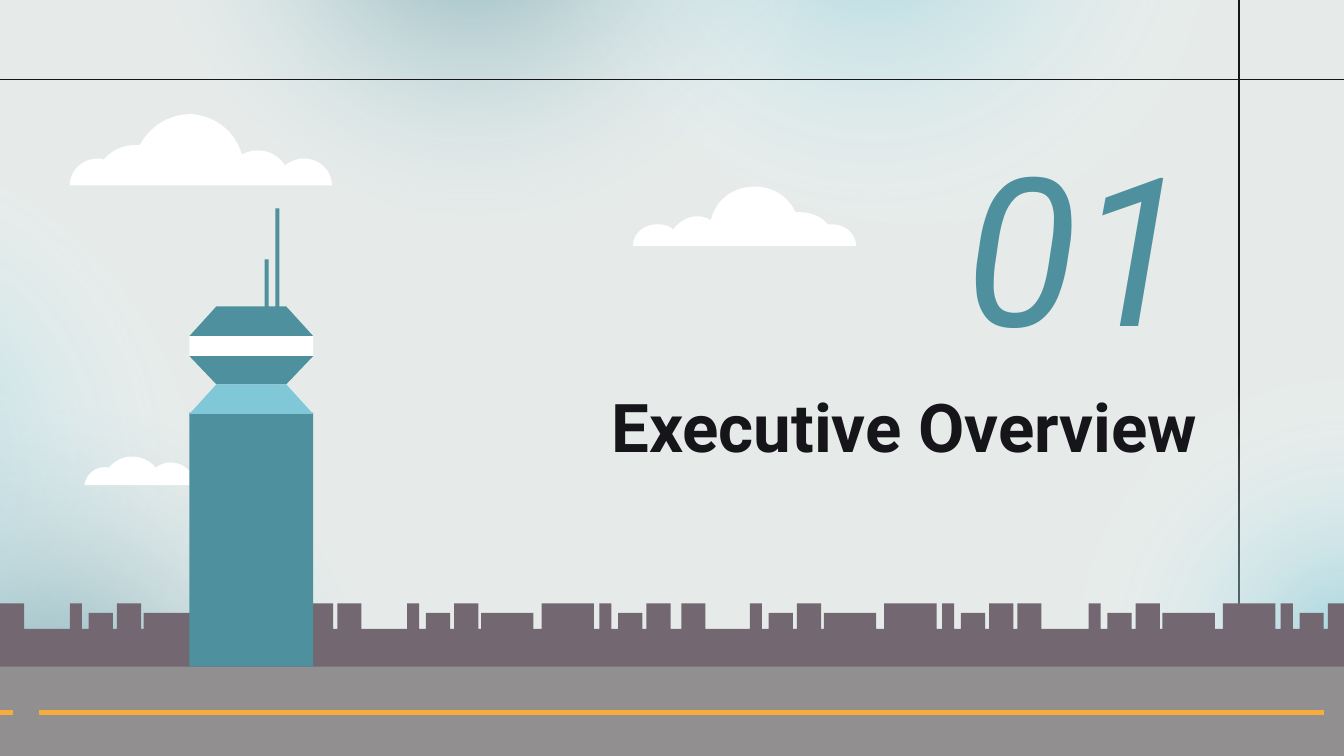
"""Build the section slide with a control tower, clouds and a city skyline."""
import pptx
import pptx.util
import pptx.dml.color
import pptx.enum.shapes
import pptx.enum.text
import pptx.oxml
import pptx.oxml.ns
from pptx.util import Inches

COLORS = {"sky": "E6EBE9", "ink": "161519", "teal": "4E909E", "aqua": "80C8D8",
          "white": "FFFFFF", "city": "736871", "road": "918F8F", "lane": "F7AC3B"}

TEXTS = [
    ("01", (6.5, 1.23, 2.46, 1.17), 111, "teal", False, True, "MIDDLE"),
    ("Executive Overview", (4.04, 2.77, 4.97, 1.17), 36, "ink", True, False, "TOP"),
]

GLOW_SIZE = (5.22, 4.6)
GLOWS = [
    (3.88, -3.08, 42, "aqua", 68), (0.9, -3.06, 42, "teal", 68),
    (6.11, 4.36, 356.7, "teal", 81), (7.42, 2.54, 356.7, "aqua", 68),
    (-3.65, 1.14, 33.5, "aqua", 68), (-2.18, 3.04, 33.5, "teal", 68),
]

HIGH, LOW, BASE, GROUND = 4.49, 4.56, 4.68, 4.97
CITY_END = 10.06
BLOCKS = [(0, 0.09, HIGH), (0.14, 0.32, LOW), (0.35, 0.53, HIGH), (0.55, 0.94, LOW),
          (1, 1.39, HIGH), (1.43, 1.52, HIGH), (1.57, 1.75, LOW), (1.78, 1.96, HIGH)]
LAST_WIDTH = 0.18
BLOCK_STARTS = [(0.52, 1.99), (3.03, 2.04), (5.58, 1.99), (8.1, 1.99)]

CLOUDS = [
    [(2.26, 1.18), (2.21, 1.18, 2.16, 1.2, 2.12, 1.23), (2.05, 1.12, 1.91, 1.09, 1.8, 1.15),
     (1.75, 0.98, 1.61, 0.87, 1.44, 0.85), (1.28, 0.84, 1.12, 0.93, 1.04, 1.08),
     (1.03, 1.08, 1.01, 1.08, 1, 1.08), (0.91, 1.08, 0.83, 1.12, 0.77, 1.19),
     (0.76, 1.18, 0.74, 1.18, 0.73, 1.18), (0.61, 1.18, 0.52, 1.27, 0.52, 1.38),
     (2.47, 1.38), (2.47, 1.27, 2.38, 1.18, 2.26, 1.18)],
    [(4.89, 1.67), (4.94, 1.67, 4.98, 1.68, 5.01, 1.71), (5.05, 1.65, 5.12, 1.61, 5.19, 1.61),
     (5.22, 1.61, 5.26, 1.62, 5.29, 1.64), (5.32, 1.5, 5.44, 1.4, 5.59, 1.39),
     (5.73, 1.38, 5.86, 1.45, 5.92, 1.58), (5.94, 1.58, 5.95, 1.58, 5.96, 1.58),
     (6.03, 1.58, 6.11, 1.61, 6.16, 1.67), (6.17, 1.67, 6.18, 1.67, 6.19, 1.67),
     (6.29, 1.67, 6.37, 1.74, 6.37, 1.83), (4.71, 1.83),
     (4.71, 1.74, 4.79, 1.67, 4.89, 1.67)],
    [(1.59, 3.61), (0.63, 3.61), (0.64, 3.52, 0.73, 3.46, 0.81, 3.48),
     (0.9, 3.37, 1.07, 3.37, 1.16, 3.48), (1.25, 3.41, 1.37, 3.44, 1.43, 3.53),
     (1.5, 3.5, 1.57, 3.54, 1.59, 3.61)],
]

WIDE, SLIM = (1.41, 2.33), (1.61, 2.13)
TOWER = [
    (WIDE, 2.5, WIDE, 2.65, "white"), (WIDE, 3.07, WIDE, 4.96, "teal"),
    (WIDE, 2.65, SLIM, 2.86, "teal"), (SLIM, 2.28, WIDE, 2.5, "teal"),
    (SLIM, 2.86, WIDE, 3.08, "aqua"),
    ((2.05, 2.08), 1.55, (2.05, 2.08), 2.38, "teal"),
    ((1.97, 2), 1.93, (1.97, 2), 2.38, "teal"),
]

deck = pptx.Presentation()
deck.slide_width, deck.slide_height = Inches(10), Inches(10 * 9 / 16)
slide = deck.slides.add_slide(deck.slide_layouts[6])
shapes = slide.shapes
KINDS = pptx.enum.shapes.MSO_SHAPE


def color(name):
    return pptx.dml.color.RGBColor.from_string(COLORS[name])


def paint(shape, name):
    shape.shadow.inherit = False
    shape.fill.solid()
    shape.fill.fore_color.rgb = color(name)
    shape.line.fill.background()


def box(left, top, width, height, name, kind=KINDS.RECTANGLE):
    shape = shapes.add_shape(kind, *map(Inches, (left, top, width, height)))
    paint(shape, name)
    return shape


def outline(points, name):
    dots = [(Inches(x), Inches(y)) for x, y in points]
    pen = shapes.build_freeform(*dots[0])
    pen.add_line_segments(dots[1:], close=True)
    paint(pen.convert_to_shape(), name)


def rule(x1, y1, x2, y2, name, width):
    line = shapes.add_connector(pptx.enum.shapes.MSO_CONNECTOR.STRAIGHT,
                                *map(Inches, (x1, y1, x2, y2)))
    line.line.color.rgb = color(name)
    line.line.width = pptx.util.Pt(width)
    line._element.spPr.append(pptx.oxml.parse_xml(
        f'<a:effectLst {pptx.oxml.ns.nsdecls("a")}/>'))


def glow(left, top, turn, name, alpha):
    shape = box(left, top, *GLOW_SIZE, name, KINDS.OVAL)
    shape.rotation = turn
    stops = "".join(
        f'<a:gs pos="{pos * 1000}"><a:srgbClr val="{COLORS[tint]}">'
        f'<a:alpha val="{level * 1000}"/></a:srgbClr></a:gs>'
        for pos, tint, level in [(0, name, alpha), (58, "white", 0), (100, "white", 0)])
    props = shape._element.spPr
    solid = props.find(pptx.oxml.ns.qn("a:solidFill"))
    props.replace(solid, pptx.oxml.parse_xml(
        f'<a:gradFill {pptx.oxml.ns.nsdecls("a")} rotWithShape="1"><a:gsLst>{stops}</a:gsLst>'
        '<a:path path="circle"><a:fillToRect l="50000" t="50000" r="50000" b="50000"/>'
        '</a:path></a:gradFill>'))


def curve(parts, steps=12):
    points = [parts[0]]
    for part in parts[1:]:
        if len(part) == 2:
            points.append(part)
            continue
        knots = [points[-1], part[:2], part[2:4], part[4:]]
        for step in range(1, steps + 1):
            t = step / steps
            shares = [(1 - t) ** 3, 3 * t * (1 - t) ** 2, 3 * t * t * (1 - t), t ** 3]
            points.append(tuple(sum(s * k[axis] for s, k in zip(shares, knots))
                                for axis in (0, 1)))
    return points


def skyline():
    blocks = [(0, LAST_WIDTH, HIGH)]
    for start, last in BLOCK_STARTS:
        blocks += [(start + a, start + b, top)
                   for a, b, top in BLOCKS + [(last, last + LAST_WIDTH, HIGH)]]
    points = [(0, GROUND)]
    for left, right, top in blocks:
        if left < 10:
            right = min(right, CITY_END)
            points += [(left, BASE), (left, top), (right, top), (right, BASE)]
    return points + [(CITY_END, GROUND)]


def label(text, place, size, name, bold, slant, anchor):
    frame = shapes.add_textbox(*map(Inches, place)).text_frame
    frame.word_wrap = True
    frame.vertical_anchor = pptx.enum.text.MSO_ANCHOR[anchor]
    frame.margin_left = frame.margin_right = Inches(0.1)
    frame.margin_top = frame.margin_bottom = Inches(0.1)
    para = frame.paragraphs[0]
    para.text = text
    para.alignment = pptx.enum.text.PP_ALIGN.RIGHT
    font = para.font
    font.name, font.size = "Roboto", pptx.util.Pt(size)
    font.bold, font.italic = bold, slant
    font.color.rgb = color(name)


slide.background.fill.solid()
slide.background.fill.fore_color.rgb = color("sky")
rule(9.22, 6.25, 9.22, -0.32, "ink", 0.75)
for item in GLOWS:
    glow(*item)
rule(10.06, 0.59, -0.06, 0.59, "ink", 0.75)
outline(skyline(), "city")
box(0, 4.96, CITY_END, 0.7, "road")
for start, end in [(0, 0.1), (0.29, 9.85)]:
    rule(start, 5.3, end, 5.3, "lane", 2.56)
for cloud in CLOUDS:
    outline(curve(cloud), "white")
for (a, b), top, (c, d), base, name in TOWER:
    if (a, b) == (c, d):
        box(a, top, b - a, base - top, name)
    else:
        outline([(a, top), (c, base), (d, base), (b, top)], name)
for item in TEXTS:
    label(*item)
deck.save("out.pptx")
